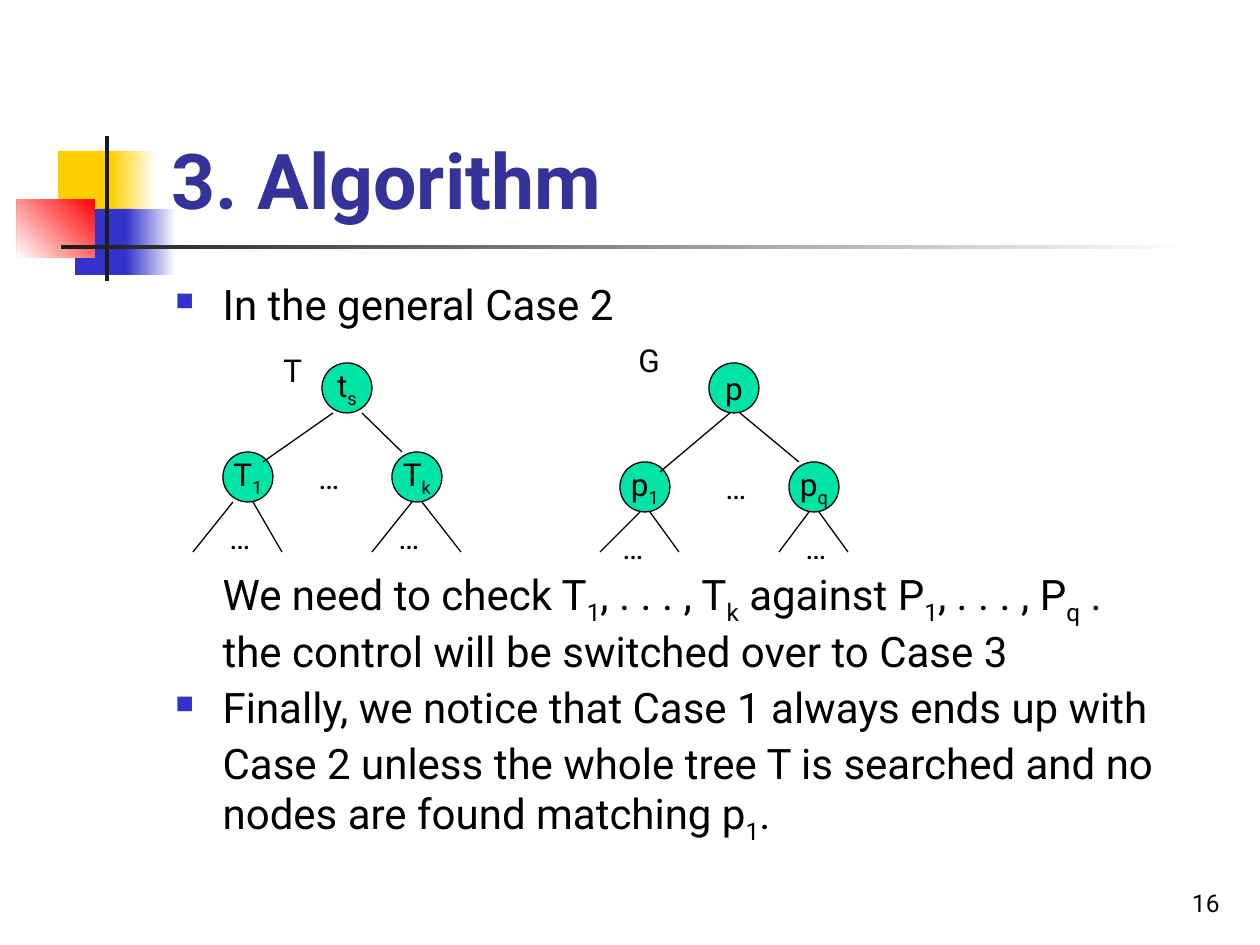
from lxml import etree
from pptx import Presentation
from pptx.dml.color import RGBColor
from pptx.enum.shapes import MSO_CONNECTOR, MSO_SHAPE
from pptx.enum.text import MSO_ANCHOR, PP_ALIGN
from pptx.oxml.ns import qn
from pptx.util import Emu, Pt

LEFT, CENTER, RIGHT = PP_ALIGN.LEFT, PP_ALIGN.CENTER, PP_ALIGN.RIGHT
TOP, MIDDLE, BOTTOM = MSO_ANCHOR.TOP, MSO_ANCHOR.MIDDLE, MSO_ANCHOR.BOTTOM
RECTANGLE, OVAL = MSO_SHAPE.RECTANGLE, MSO_SHAPE.OVAL
STRAIGHT = MSO_CONNECTOR.STRAIGHT

PX = 914400 // 126
FONT = "Roboto"
BLACK, BLUE, NODE_GREEN = "000000", "3333CC", "00E4A8"
NODE_SIZE = 50

# box, colours (one for solid, two for a gradient), gradient angle
DECORATIONS = [
    ((58, 151, 60, 66), ("FFCF01",), 0),
    ((111, 151, 45, 66), ("FFCF01", "FFFFFF"), 0),
    ((75, 209, 58, 66), (BLUE,), 0),
    ((126, 209, 50, 66), (BLUE, "FFFFFF"), 0),
    ((17, 199, 78, 59), ("FF0000", "FFFFFF"), 225),
    ((105, 136, 4, 145), ("1C1C1C",), 0),
    ((61, 245, 1134, 4), ("1C1C1C", "FFFFFF"), 0),
]

TITLE = ["3. Algorithm"]
PAGE_NUMBER = ["16"]

# In every list of pieces, each second piece is a subscript.
# has bullet, space before in points, pieces
BODY = [
    (True, 0, ["In the general Case 2"]),
    (False, 137, ["We need to check T", "1", ", . . . , T", "k", " against P", "1",
                  ", . . . , P", "q", " ."]),
    (False, 6, ["the control will be switched over to Case 3"]),
    (True, 6, ["Finally, we notice that Case 1 always ends up with"]),
    (False, 6, ["Case 2 unless the whole tree T is searched and no nodes are found "
                "matching p", "1", "."]),
]

TREES = [
    {
        "nodes": [(709, 363, ["p"]), (620, 462, ["p", "1"]), (789, 462, ["p", "q"])],
        "edges": [(730, 413, 660, 472), (740, 413, 799, 462),
                  (640, 512, 600, 552), (650, 512, 679, 552),
                  (809, 512, 779, 552), (819, 512, 848, 552)],
        "labels": [(626, 335, "G"), (713, 462, "…"), (610, 522, "…"), (793, 522, "…")],
    },
    {
        "nodes": [(322, 363, ["t", "s"]), (223, 452, ["T", "1"]), (392, 452, ["T", "k"])],
        "edges": [(333, 413, 263, 462), (362, 413, 402, 452),
                  (233, 502, 193, 552), (253, 502, 282, 552),
                  (412, 502, 372, 552), (422, 502, 461, 552)],
        "labels": [(271, 345, "T"), (306, 452, "…"), (217, 512, "…"), (386, 512, "…")],
    },
]


def px(*lengths):
    return [Emu(length * PX) for length in lengths]


def color(hex_text):
    return RGBColor.from_string(hex_text)


def set_frame(frame, anchor=TOP, wrap=True):
    settings = {
        "vertical_anchor": anchor, "word_wrap": wrap,
        "margin_left": Pt(7.2), "margin_right": Pt(7.2),
        "margin_top": Pt(3.6), "margin_bottom": Pt(3.6),
    }
    for name, value in settings.items():
        setattr(frame, name, value)


def write(para, pieces, size, align=LEFT, ink=BLACK, bold=False):
    para.alignment = align
    for index, piece in enumerate(pieces):
        span = para.add_run()
        span.text = piece
        for name, value in {"name": FONT, "size": Pt(size), "bold": bold}.items():
            setattr(span.font, name, value)
        span.font.color.rgb = color(ink)
        if index % 2:
            span.font._element.set("baseline", "-25000")


def add_bullet(properties):
    tint = etree.SubElement(properties, qn("a:buClr"))
    etree.SubElement(tint, qn("a:srgbClr"), val=BLUE)
    etree.SubElement(properties, qn("a:buSzPct"), val="60000")
    etree.SubElement(properties, qn("a:buChar"), char="■")


def add_text(shapes, box, pieces, size, align=LEFT, anchor=TOP, wrap=True):
    frame = shapes.add_textbox(*px(*box)).text_frame
    set_frame(frame, anchor, wrap)
    write(frame.paragraphs[0], pieces, size, align)


def add_decoration(shapes, box, colors, angle):
    shape = shapes.add_shape(RECTANGLE, *px(*box))
    shape.shadow.inherit = False
    shape.line.fill.background()
    if len(colors) == 1:
        shape.fill.solid()
        shape.fill.fore_color.rgb = color(colors[0])
    else:
        shape.fill.gradient()
        shape.fill.gradient_angle = angle
        for stop, tint in zip(shape.fill.gradient_stops, colors):
            stop.color.rgb = color(tint)


def add_node(shapes, left, top, pieces):
    node = shapes.add_shape(OVAL, *px(left, top, NODE_SIZE, NODE_SIZE))
    node.shadow.inherit = False
    node.fill.solid()
    node.fill.fore_color.rgb = color(NODE_GREEN)
    node.line.color.rgb = color(BLACK)
    node.line.width = Pt(0.75)
    set_frame(node.text_frame, MIDDLE, False)
    write(node.text_frame.paragraphs[0], pieces, 18, CENTER)


def add_edge(shapes, ends):
    edge = shapes.add_connector(STRAIGHT, *px(*ends))
    edge.line.color.rgb = color(BLACK)
    edge.line.width = Pt(0.75)
    etree.SubElement(edge._element.spPr, qn("a:effectLst"))


def add_body(shapes):
    frame = shapes.add_textbox(*px(163, 278, 1071, 567)).text_frame
    set_frame(frame)
    for index, (has_bullet, space, pieces) in enumerate(BODY):
        para = frame.add_paragraph() if index else frame.paragraphs[0]
        properties = para._p.get_or_add_pPr()
        properties.set("marL", str(Pt(27)))
        properties.set("indent", str(-Pt(27) if has_bullet else 0))
        if has_bullet:
            add_bullet(properties)
        para.line_spacing = 0.9
        para.space_before = Pt(space)
        write(para, pieces, 24)


def main():
    deck = Presentation()
    deck.slide_width, deck.slide_height = px(1260, 945)
    page = deck.slides.add_slide(deck.slide_layouts[5])
    shapes = page.shapes

    for decoration in DECORATIONS:
        add_decoration(shapes, *decoration)

    title = shapes.title
    title.left, title.top, title.width, title.height = px(159, 29, 1074, 202)
    set_frame(title.text_frame, BOTTOM)
    write(title.text_frame.paragraphs[0], TITLE, 44, ink="333399", bold=True)

    add_body(shapes)
    for tree in TREES:
        group = shapes.add_group_shape().shapes
        for node in tree["nodes"]:
            add_node(group, *node)
        for edge in tree["edges"]:
            add_edge(group, edge)
        for left, top, label in tree["labels"]:
            add_text(group, (left, top, 50, 50), [label], 18, wrap=False)
    add_text(shapes, (970, 861, 262, 63), PAGE_NUMBER, 14, RIGHT, BOTTOM)
    deck.save("out.pptx")


if __name__ == "__main__":
    main()
